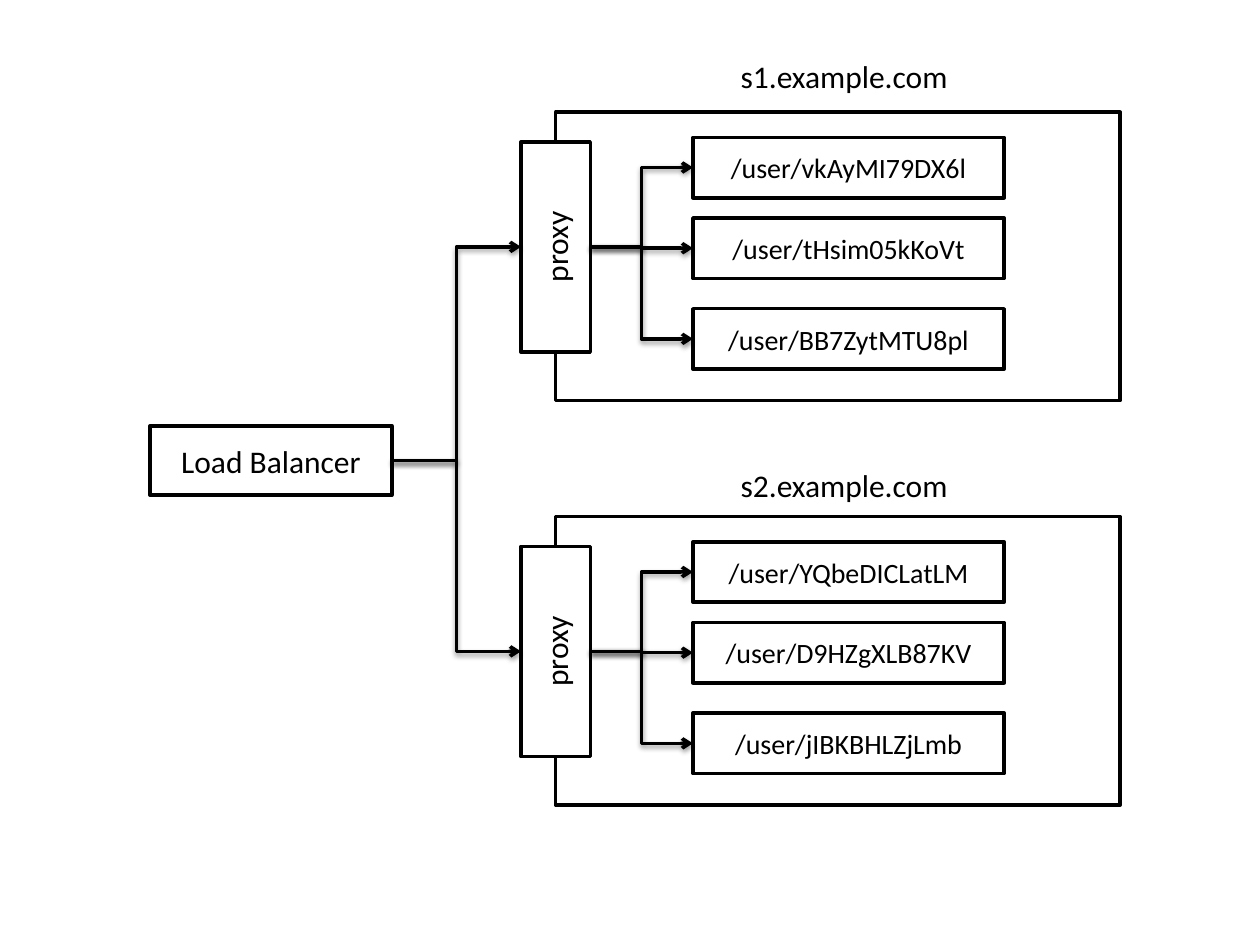
from dataclasses import dataclass

from lxml.etree import SubElement
from pptx import Presentation
from pptx.dml.color import RGBColor
from pptx.enum.shapes import MSO_CONNECTOR as Connector, MSO_SHAPE as Preset
from pptx.enum.text import MSO_ANCHOR as Anchor, MSO_AUTO_SIZE as AutoSize, PP_ALIGN as Align
from pptx.oxml.ns import qn
from pptx.shapes.autoshape import Shape
from pptx.slide import Slide
from pptx.util import Inches, Pt

BLACK, WHITE = "000000", "FFFFFF"
FONT = {"name": "Calibri", "size": Pt(18)}
BOX_FRAME = {"vertical_anchor": Anchor.MIDDLE, "word_wrap": True}
HOST_FRAME = {"word_wrap": False, "auto_size": AutoSize.SHAPE_TO_FIT_TEXT}
SHADOW = {"blurRad": Pt(3.1), "dist": Pt(1.6), "dir": 90 * 60000, "rotWithShape": 0}
USER_OFFSETS = (0.2, 0.84, 1.56)
USER_LEFT, USER_HEIGHT = 5.5, 0.48
PROXY_WIDTH, PROXY_HEIGHT, PROXY_CENTER = 1.67, 0.55, 4.41
PROXY_OFFSET = 1.07
BALANCER = (1.19, 3.38, 1.92, 0.55)


@dataclass(frozen=True)
class Server:
    """A host with its proxy and user containers."""
    host: str
    host_top: float
    top: float
    users: tuple[str, ...]


SERVERS = (
    Server("s1.example.com", 0.4, 0.89,
           ("/user/vkAyMI79DX6l", "/user/tHsim05kKoVt", "/user/BB7ZytMTU8pl")),
    Server("s2.example.com", 3.65, 4.1,
           ("/user/YQbeDICLatLM", "/user/D9HZgXLB87KV", "/user/jIBKBHLZjLmb")),
)


def color(hex_code: str) -> RGBColor:
    """Turn a hex string into a colour."""
    return RGBColor.from_string(hex_code)


def apply(target: object, values: dict) -> None:
    """Set each attribute of the target from the format values."""
    for key, value in values.items():
        setattr(target, key, value)


def write(holder: Shape, words: str, frame: dict, font: dict, align: Align) -> None:
    """Write one formatted paragraph in a shape."""
    apply(holder.text_frame, frame)
    paragraph = holder.text_frame.paragraphs[0]
    paragraph.alignment = align
    run = paragraph.add_run()
    run.text = words
    apply(run.font, FONT | font)
    run.font.color.rgb = color(BLACK)


def add_box(slide: Slide, left: float, top: float, width: float, height: float,
            words: str = "", rotation: float = 0, size: int = 18) -> None:
    """Draw an outlined white box with an optional centred label."""
    box = slide.shapes.add_shape(
        Preset.RECTANGLE, Inches(left), Inches(top), Inches(width), Inches(height))
    box.shadow.inherit = False
    box.rotation = rotation
    box.fill.solid()
    box.fill.fore_color.rgb = color(WHITE)
    box.line.color.rgb = color(BLACK)
    box.line.width = Pt(2)
    if words:
        write(box, words, BOX_FRAME, {"size": Pt(size)}, Align.CENTER)


def add_arrow(slide: Slide, start: tuple[float, float], end: tuple[float, float]) -> None:
    """Draw a bent arrow with a soft shadow."""
    arrow = slide.shapes.add_connector(
        Connector.ELBOW, *(Inches(value) for value in start + end))
    arrow.line.color.rgb = color(BLACK)
    arrow.line.width = Pt(2)
    SubElement(arrow.line._get_or_add_ln(), qn("a:tailEnd"), type="arrow")
    effects = SubElement(arrow._element.spPr, qn("a:effectLst"))
    shadow = SubElement(effects, qn("a:outerShdw"),
                        {key: str(value) for key, value in SHADOW.items()})
    tint = SubElement(shadow, qn("a:srgbClr"), val=BLACK)
    SubElement(tint, qn("a:alpha"), val="38000")


def add_server(slide: Slide, server: Server) -> None:
    """Draw a host, its proxy and the routes to its users."""
    add_box(slide, 4.41, server.top, 4.48, 2.29)
    middle = server.top + PROXY_OFFSET
    add_box(slide, PROXY_CENTER - PROXY_WIDTH / 2, middle - PROXY_HEIGHT / 2,
            PROXY_WIDTH, PROXY_HEIGHT, "proxy", rotation=270)
    for user, offset in zip(server.users, USER_OFFSETS):
        top = server.top + offset
        add_box(slide, USER_LEFT, top, 2.47, USER_HEIGHT, user, size=16)
        add_arrow(slide, (PROXY_CENTER + PROXY_HEIGHT / 2, middle),
                  (USER_LEFT, top + USER_HEIGHT / 2))
    host = slide.shapes.add_textbox(
        Inches(5.78), Inches(server.host_top), Inches(1.87), Inches(0.4))
    write(host, server.host, HOST_FRAME, {}, Align.LEFT)


def build() -> None:
    """Build and save the load balancing slide."""
    deck = Presentation()
    apply(deck, {"slide_width": Inches(10), "slide_height": Inches(7.5)})
    slide = deck.slides.add_slide(deck.slide_layouts[6])
    left, top, width, height = BALANCER
    add_box(slide, *BALANCER, "Load Balancer")
    for server in SERVERS:
        add_server(slide, server)
        add_arrow(slide, (left + width, top + height / 2),
                  (PROXY_CENTER - PROXY_HEIGHT / 2, server.top + PROXY_OFFSET))
    deck.save("out.pptx")


build()
